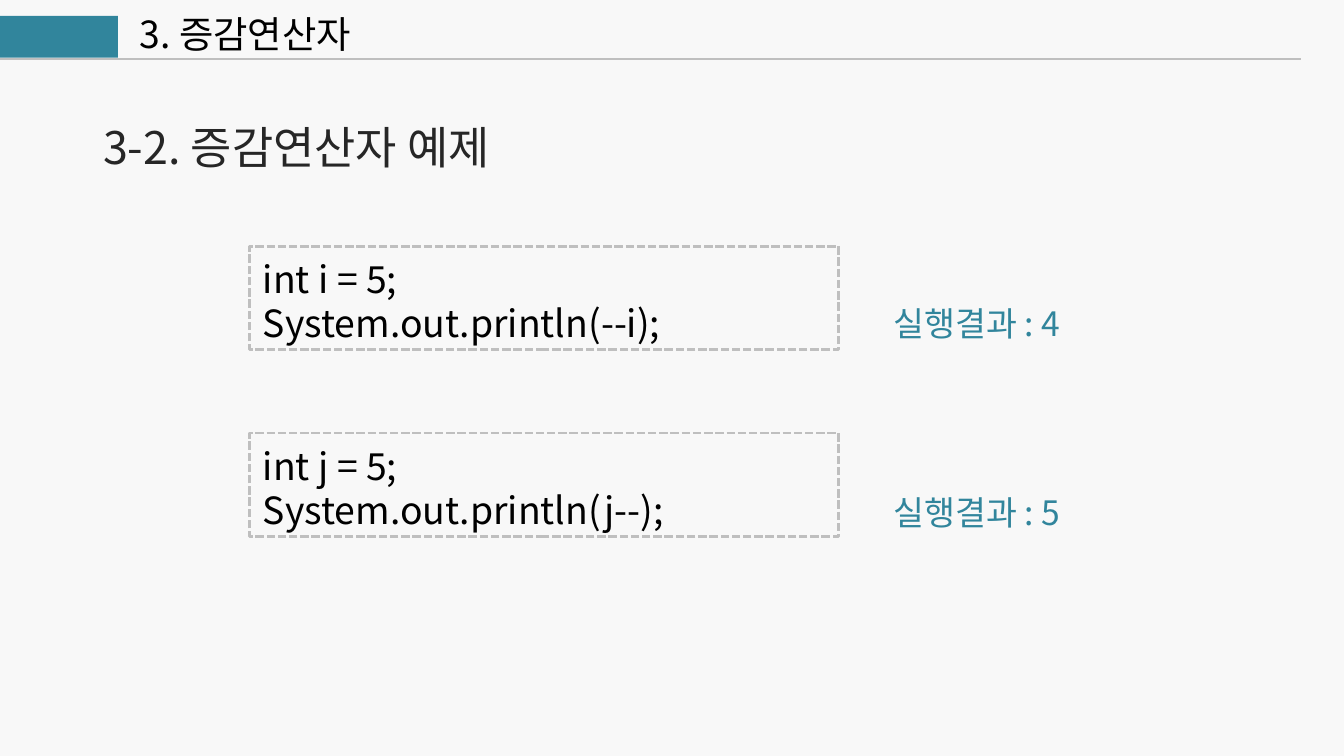
from pptx import Presentation
from pptx.dml.color import RGBColor
from pptx.enum.dml import MSO_LINE
from pptx.enum.shapes import MSO_CONNECTOR, MSO_SHAPE
from pptx.enum.text import MSO_ANCHOR
from pptx.oxml.ns import qn
from pptx.util import Cm, Pt
from lxml.etree import SubElement

FONT = "Noto Sans CJK KR"
COLORS = {
    "background": "F8F8F8",
    "teal": "31859C",
    "rule": "BFBFBF",
    "heading": "262626",
    "text": "000000",
}


def color(name):
    return RGBColor.from_string(COLORS[name])


def write(tf, lines, size, name, spacing=None):
    """Fill a text frame with one paragraph for each line."""
    tf.vertical_anchor = MSO_ANCHOR.MIDDLE
    tf.margin_top = tf.margin_bottom = 0
    for i, line in enumerate(lines):
        p = tf.paragraphs[0] if i == 0 else tf.add_paragraph()
        p.text = line
        p.line_spacing = spacing
        p.font.size = Pt(size)
        p.font.color.rgb = color(name)
        p.font.name = FONT
        # Hangul takes the East Asian typeface
        props = p._p.pPr.find(qn("a:defRPr"))
        SubElement(props, qn("a:ea")).set("typeface", FONT)


def add_label(s, left, top, width, height, text, size, name, wrap=True):
    tf = s.shapes.add_textbox(Cm(left), Cm(top), Cm(width), Cm(height)).text_frame
    tf.word_wrap = wrap
    write(tf, [text], size, name)


def add_box(s, left, top, width, height):
    sp = s.shapes.add_shape(MSO_SHAPE.RECTANGLE, Cm(left), Cm(top), Cm(width), Cm(height))
    sp.shadow.inherit = False
    return sp


def add_header(s, left, top, width, height, title):
    # Teal tab
    tab = add_box(s, left, top + 0.3, 2.26, height - 0.32)
    tab.fill.solid()
    tab.fill.fore_color.rgb = color("teal")
    tab.line.fill.background()
    # Rule under the header
    y = Cm(top + height)
    rule = s.shapes.add_connector(MSO_CONNECTOR.STRAIGHT, Cm(left), y, Cm(left + width), y)
    rule.line.color.rgb = color("rule")
    rule.line.width = Pt(1)
    SubElement(rule._element.spPr, qn("a:effectLst"))
    # Chapter title
    add_label(s, left + 2.42, top + 0.08, 5.51, height, title, 20, "text")


def add_example(s, left, top, width, height, code, result, result_drop):
    # Dashed code box
    box = add_box(s, left, top, width, height)
    box.fill.background()
    box.line.color.rgb = color("rule")
    box.line.width = Pt(1.5)
    box.line.dash_style = MSO_LINE.SQUARE_DOT
    tf = box.text_frame
    tf.word_wrap = True
    write(tf, code, 20, "text", Pt(23.5))
    tf.margin_top = Cm(0.12)
    for p in tf.paragraphs:
        p.alignment = 1  # left
    # Program output
    add_label(s, left + width + 0.79, top + result_drop, 3.94, 1.02, result, 18, "teal", wrap=False)


def main():
    prs = Presentation()
    prs.slide_width, prs.slide_height = Cm(25.4), Cm(14.28)
    s = prs.slides.add_slide(prs.slide_layouts[6])
    s.background.fill.solid()
    s.background.fill.fore_color.rgb = color("background")

    add_header(s, -0.03, 0, 24.62, 1.11, "3. 증감연산자")
    add_label(s, 1.7, 2.13, 8.61, 1.27, "3-2. 증감연산자 예제", 24, "heading")

    examples = [
        (4.65, "int i = 5;", "System.out.println(--i);", "실행결과 : 4", 0.94),
        (8.18, "int j = 5;", "System.out.println(j--);", "실행결과 : 5", 0.99),
    ]
    for top, declare, show, result, drop in examples:
        add_example(s, 4.72, top, 11.13, 1.96, [declare, show], result, drop)

    prs.save("out.pptx")


if __name__ == "__main__":
    main()
